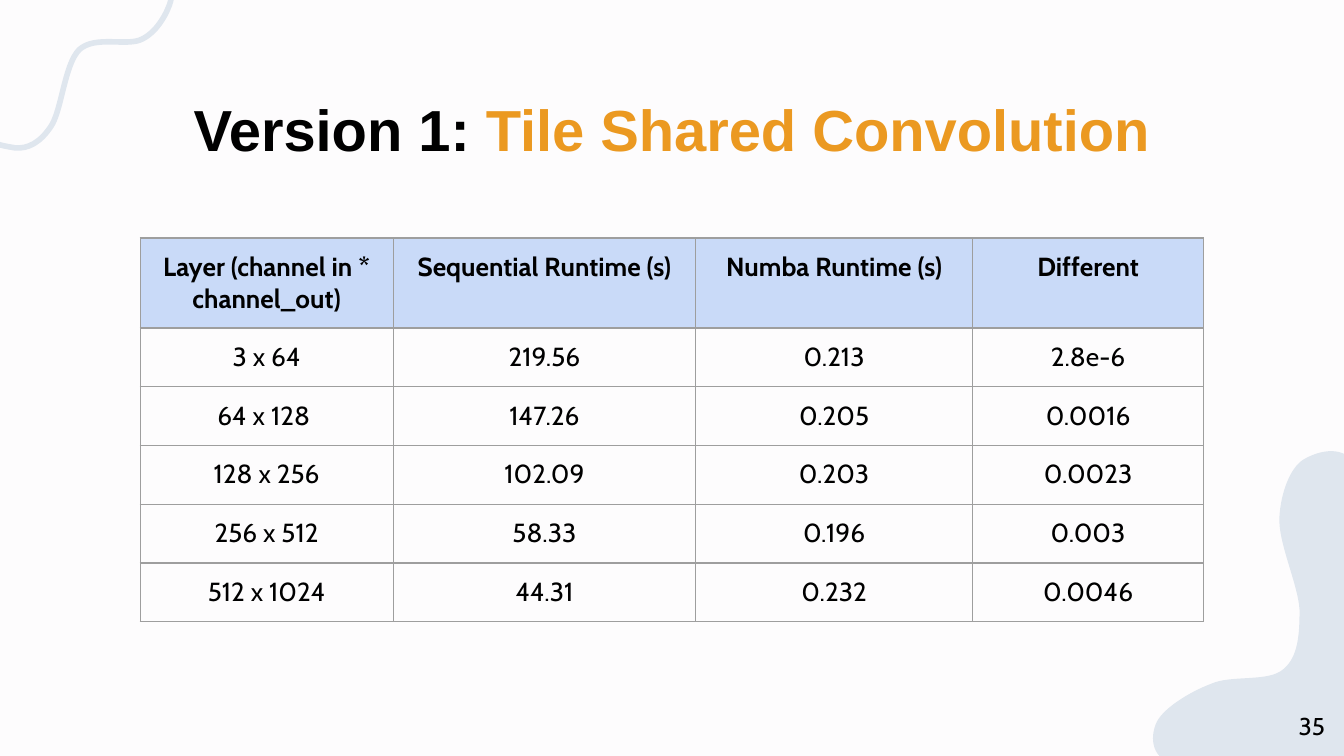
from lxml.etree import SubElement
from pptx import Presentation
from pptx.dml.color import RGBColor as RGB
from pptx.enum.text import MSO_ANCHOR as ANCHOR, PP_ALIGN as ALIGN
from pptx.oxml import parse_xml
from pptx.oxml.ns import nsdecls, qn
from pptx.util import Cm, Pt

# Content
TITLE = [("Version 1: ", "ink"), ("Tile Shared Convolution", "accent")]
PAGE = "35"
RUNTIMES = [
    ("Layer (channel in * channel_out)", "Sequential Runtime (s)",
     "Numba Runtime (s)", "Different"),
    ("3 x 64", "219.56", "0.213", "2.8e-6"),
    ("64 x 128 ", "147.26", "0.205", "0.0016"),
    ("128 x 256", "102.09", "0.203", "0.0023"),
    ("256 x 512", "58.33", "0.196", "0.003"),
    ("512 x 1024", "44.31", "0.232", "0.0046"),
]

THEME = {
    "paper": "FDFCFD", "ink": "000000", "accent": "EB9921", "blob": "DFE6EE",
    "header": "C9DAF8", "grid": "9E9E9E",
    "title_font": "Arial", "body_font": "Cabin",
    "title_size": 31, "cell_size": 14, "page_size": 13,
    "grid_width": 0.75, "blob_line": 3,
}

# Layout in centimetres
SLIDE = (25.4, 14.29)
TITLE_BOX = (1.5, 1.36, 22.38, 1.93)
PAGE_BOX = (23.77, 13.18, 1.52, 1.09)
TABLE_AT = (2.65, 4.5)
COLS = (4.78, 5.72, 5.23, 4.37)
HEADER_H, ROW_H = 1.7, 1.11
INSET = 0.25

# Closed curves in inches: box, start, then (control, control, end) per segment
INCH = 2.54
CORNER_BLOB = ((8.58, 3.36, 1.76, 2.37), (8.76, 5.7), [
    ((8.56, 5.65), (8.56, 5.49), (8.6, 5.39)),
    ((8.64, 5.28), (8.85, 5.15), (9.01, 5.09)),
    ((9.16, 5.02), (9.44, 5.08), (9.55, 4.98)),
    ((9.66, 4.89), (9.67, 4.72), (9.67, 4.54)),
    ((9.66, 4.35), (9.51, 4.04), (9.52, 3.85)),
    ((9.53, 3.67), (9.6, 3.48), (9.7, 3.42)),
    ((9.8, 3.36), (10.01, 3.29), (10.11, 3.49)),
    ((10.22, 3.69), (10.29, 4.26), (10.32, 4.61)),
    ((10.34, 4.97), (10.35, 5.42), (10.26, 5.6)),
    ((10.17, 5.78), (10.03, 5.68), (9.78, 5.7)),
    ((9.53, 5.72), (8.95, 5.75), (8.76, 5.7)),
])
CORNER_LINE = ((-0.4, -0.29, 1.67, 1.39), (-0.21, 0.86), [
    ((-0.13, 1.08), (0.01, 1.08), (0.11, 1.1)),
    ((0.21, 1.11), (0.3, 1.06), (0.38, 0.94)),
    ((0.46, 0.82), (0.48, 0.48), (0.59, 0.37)),
    ((0.71, 0.26), (0.95, 0.35), (1.06, 0.29)),
    ((1.18, 0.23), (1.25, 0.08), (1.27, 0.01)),
    ((1.28, -0.06), (1.3, -0.11), (1.16, -0.15)),
    ((1.03, -0.18), (0.71, -0.19), (0.46, -0.2)),
    ((0.21, -0.21), (-0.25, -0.38), (-0.36, -0.2)),
    ((-0.47, -0.02), (-0.29, 0.65), (-0.21, 0.86)),
])


def color(name):
    return RGB.from_string(THEME[name])


def add_curve(slide, curve):
    (left, top, width, height), start, segments = curve
    corners = [(left, top), (left + width, top + height)]
    first, last = [tuple(Cm(INCH * v) for v in corner) for corner in corners]
    builder = slide.shapes.build_freeform(*first, scale=1.0)
    builder.add_line_segments([last], close=False)
    sp = builder.convert_to_shape()
    sp.shadow.inherit = False

    # Swap the diagonal of the box for Bezier segments
    outline = next(sp._element.iter(qn("a:path")))
    for step in list(outline):
        outline.remove(step)
    steps = [("a:moveTo", [start])] + [("a:cubicBezTo", seg) for seg in segments]
    for tag, points in steps:
        step = SubElement(outline, qn(tag))
        for x, y in points:
            SubElement(step, qn("a:pt"), x=str(Cm(INCH * (x - left))),
                       y=str(Cm(INCH * (y - top))))
    SubElement(outline, qn("a:close"))
    return sp


def write(p, text, align, font, size, ink="ink", bold=False):
    p.alignment = align
    r = p.add_run()
    r.text = text
    r.font.name, r.font.size, r.font.bold = THEME[font], Pt(THEME[size]), bold
    r.font.color.rgb = color(ink)


def add_box(slide, box):
    tf = slide.shapes.add_textbox(*map(Cm, box)).text_frame
    tf.word_wrap = True
    tf.vertical_anchor = ANCHOR.MIDDLE
    tf.margin_left = tf.margin_right = tf.margin_top = tf.margin_bottom = Cm(INSET)
    return tf.paragraphs[0]


def add_borders(cell):
    tc_pr = cell._tc.get_or_add_tcPr()
    for i, side in enumerate(("lnL", "lnR", "lnT", "lnB")):
        tc_pr.insert(i, parse_xml(
            f'<a:{side} {nsdecls("a")} w="{Pt(THEME["grid_width"])}"><a:solidFill>'
            f'<a:srgbClr val="{THEME["grid"]}"/></a:solidFill></a:{side}>'))


def add_runtime_table(slide):
    heights = [HEADER_H] + [ROW_H] * (len(RUNTIMES) - 1)
    size = (sum(COLS), sum(heights))
    table = slide.shapes.add_table(
        len(RUNTIMES), len(COLS), *map(Cm, TABLE_AT + size)).table
    table.first_row = table.horz_banding = False
    for column, width in zip(table.columns, COLS):
        column.width = Cm(width)
    for i, (row, height, texts) in enumerate(zip(table.rows, heights, RUNTIMES)):
        row.height = Cm(height)
        for cell, text in zip(row.cells, texts):
            cell.margin_left = cell.margin_right = Cm(INSET)
            cell.margin_top = cell.margin_bottom = Cm(INSET)
            if i == 0:
                cell.fill.solid()
                cell.fill.fore_color.rgb = color("header")
            else:
                cell.fill.background()
            add_borders(cell)
            write(cell.text_frame.paragraphs[0], text, ALIGN.CENTER,
                  "body_font", "cell_size", bold=i == 0)


def main():
    prs = Presentation()
    prs.slide_width, prs.slide_height = map(Cm, SLIDE)
    s = prs.slides.add_slide(prs.slide_layouts[6])
    s.background.fill.solid()
    s.background.fill.fore_color.rgb = color("paper")

    # Corner decoration
    blob = add_curve(s, CORNER_BLOB)
    blob.fill.solid()
    blob.fill.fore_color.rgb = color("blob")
    blob.line.fill.background()
    wave = add_curve(s, CORNER_LINE)
    wave.fill.background()
    wave.line.color.rgb = color("blob")
    wave.line.width = Pt(THEME["blob_line"])

    # Title
    p = add_box(s, TITLE_BOX)
    p.line_spacing = 1.15
    for text, ink in TITLE:
        write(p, text, ALIGN.CENTER, "title_font", "title_size", ink, bold=True)

    # Runtimes and page number
    add_runtime_table(s)
    write(add_box(s, PAGE_BOX), PAGE, ALIGN.RIGHT, "body_font", "page_size")

    prs.save("out.pptx")


if __name__ == "__main__":
    main()
